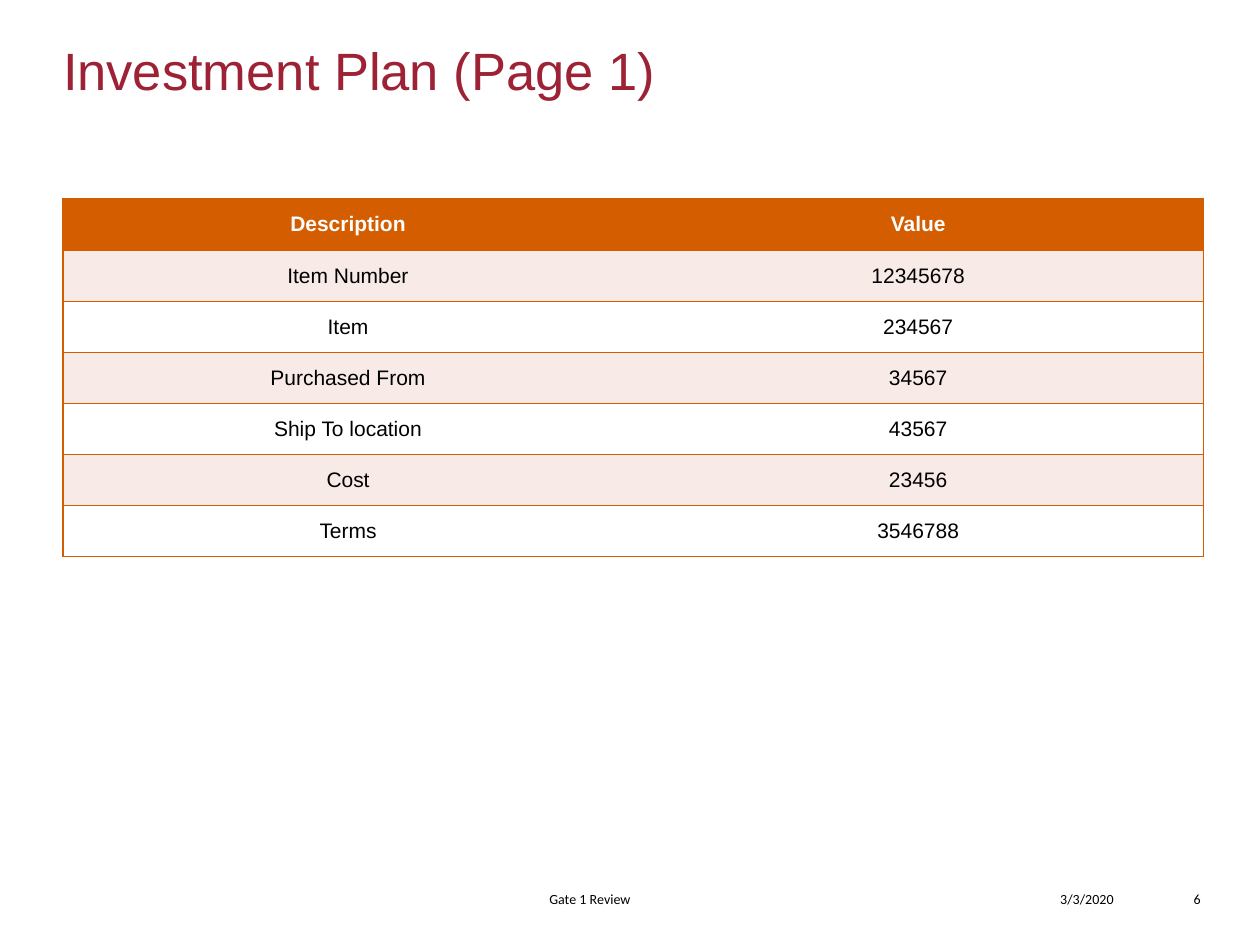
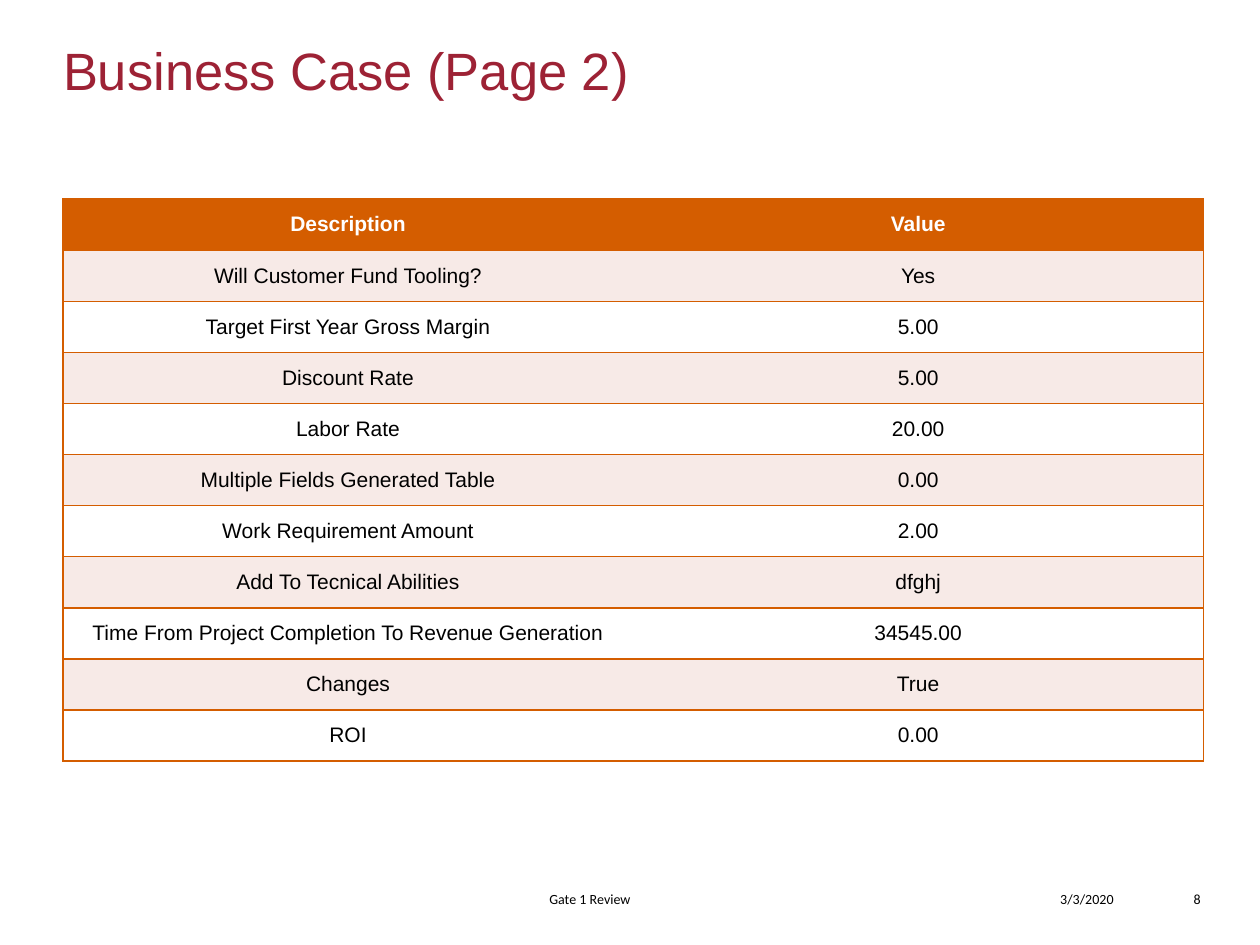
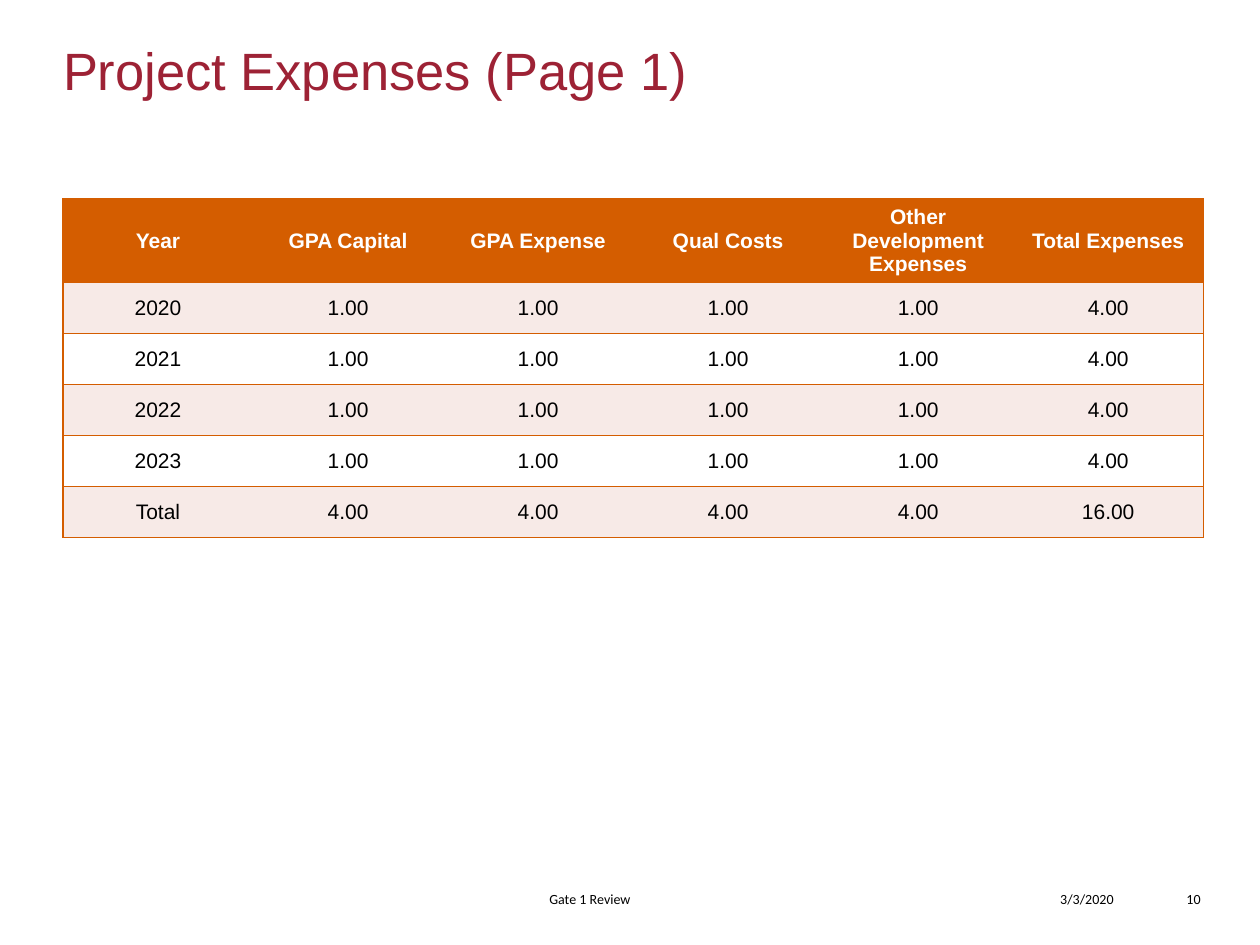
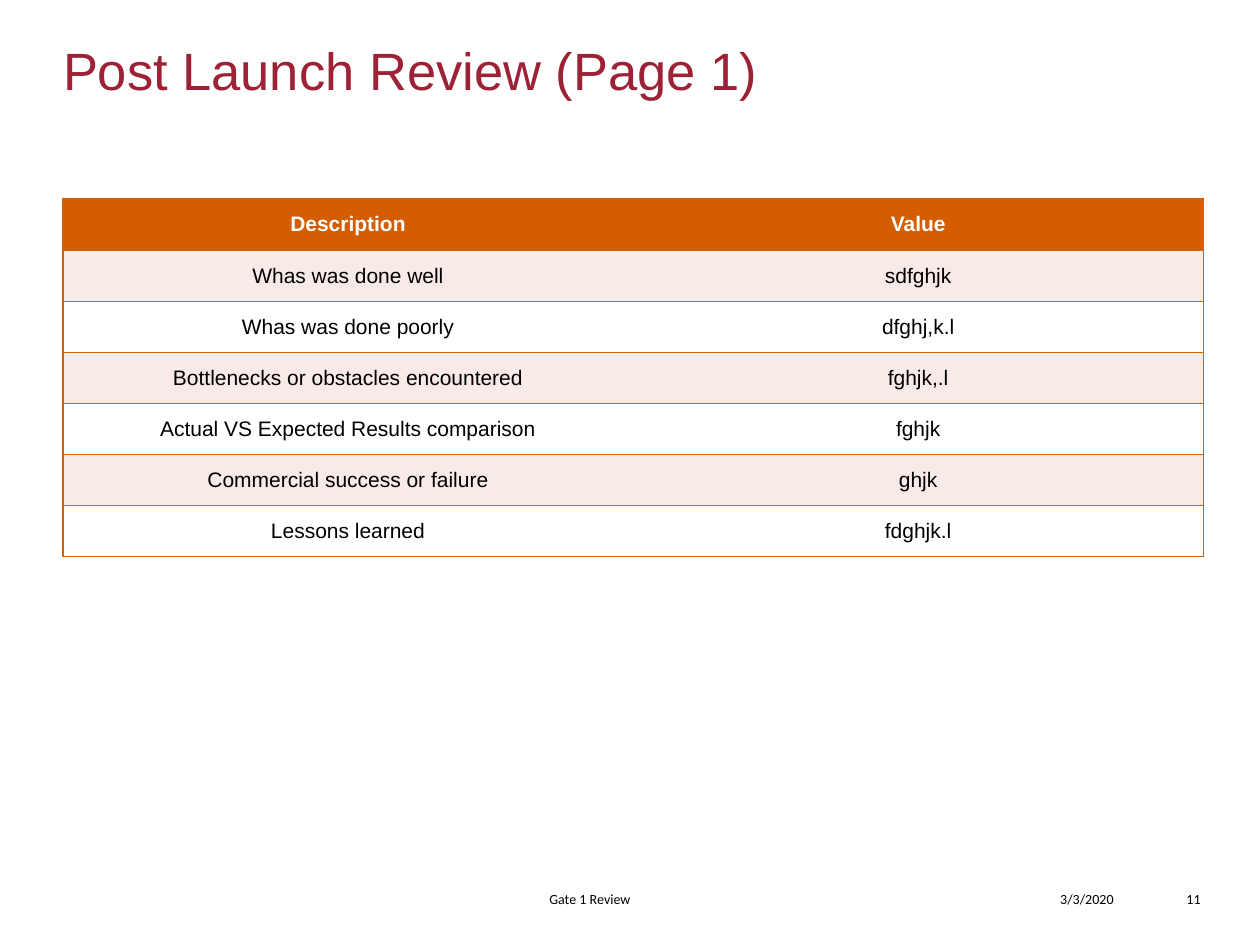
from lxml import etree
from pptx import Presentation, util as u
from pptx.dml.color import RGBColor
from pptx.enum import text as t
from pptx.oxml.ns import qn

# Shared style
RED = RGBColor(0x9D, 0x22, 0x35)
ORANGE = RGBColor(0xD4, 0x5D, 0x00)
PINK = RGBColor(0xF7, 0xEA, 0xE7)
WHITE = RGBColor(0xFF, 0xFF, 0xFF)
BLACK = RGBColor(0, 0, 0)
LEFT, WIDTH = u.Inches(0.5), u.Inches(9.05)
ROW = u.Pt(29.2)

# Footer parts: left, width, left inset, alignment
NUMBER = (9.16, 0.37, 0, t.PP_ALIGN.RIGHT)
DATE = (7.4, 1.44, 0, t.PP_ALIGN.RIGHT)
LABEL = (3.1, 3.63, 1.26, t.PP_ALIGN.LEFT)

# Slide content: title, page number, table rows
PAIR = ("Description", "Value")
PAGES = [
    ("Investment Plan (Page 1)", "6", [
        PAIR,
        ("Item Number", "12345678"),
        ("Item", "234567"),
        ("Purchased From", "34567"),
        ("Ship To location", "43567"),
        ("Cost", "23456"),
        ("Terms", "3546788"),
    ]),
    ("Business Case (Page 2)", "8", [
        PAIR,
        ("Will Customer Fund Tooling?", "Yes"),
        ("Target First Year Gross Margin", "5.00"),
        ("Discount Rate", "5.00"),
        ("Labor Rate", "20.00"),
        ("Multiple Fields Generated Table", "0.00"),
        ("Work Requirement Amount", "2.00"),
        ("Add To Tecnical Abilities", "dfghj"),
        ("Time From Project Completion To Revenue Generation", "34545.00"),
        ("Changes", "True"),
        ("ROI", "0.00"),
    ]),
    ("Project Expenses (Page 1)", "10", [
        ("Year", "GPA Capital", "GPA Expense", "Qual Costs",
         "Other Development Expenses", "Total Expenses"),
        *[(year, *["1.00"] * 4, "4.00")
          for year in ("2020", "2021", "2022", "2023")],
        ("Total", *["4.00"] * 4, "16.00"),
    ]),
    ("Post Launch Review (Page 1)", "11", [
        PAIR,
        ("Whas was done well", "sdfghjk"),
        ("Whas was done poorly", "dfghj,k.l"),
        ("Bottlenecks or obstacles encountered", "fghjk,.l"),
        ("Actual VS Expected Results comparison", "fghjk"),
        ("Commercial success or failure", "ghjk"),
        ("Lessons learned", "fdghjk.l"),
    ]),
]


def write(frame, words, size, face, color, align, bold=False):
    para = frame.paragraphs[0]
    para.alignment = align
    run = para.add_run()
    run.text = words
    font = run.font
    font.size, font.name, font.bold = u.Pt(size), face, bold
    font.color.rgb = color


def border(cell, drawn):
    """Rule the drawn sides of a cell and clear the others."""
    props = cell._tc.get_or_add_tcPr()
    for i, side in enumerate("LRTB"):
        line = etree.Element(qn("a:ln" + side), w=str(u.Pt(1)))
        if side in drawn:
            fill = etree.SubElement(line, qn("a:solidFill"))
            etree.SubElement(fill, qn("a:srgbClr"), val=str(ORANGE))
        else:
            etree.SubElement(line, qn("a:noFill"))
        props.insert(i, line)


prs = Presentation()
prs.slide_width, prs.slide_height = u.Inches(10), u.Inches(7.5)

for name, page, rows in PAGES:
    slide = prs.slides.add_slide(prs.slide_layouts[5])

    # Title
    title = slide.shapes.title
    title.left, title.top = LEFT, u.Inches(0.3)
    title.width, title.height = WIDTH, u.Inches(1.07)
    frame = title.text_frame
    frame.margin_left = frame.margin_right = 0
    frame.margin_top = frame.margin_bottom = 0
    frame.vertical_anchor = t.MSO_ANCHOR.TOP
    frame.auto_size = t.MSO_AUTO_SIZE.NONE
    write(frame, name, 30, "Arial", RED, t.PP_ALIGN.LEFT)

    # Table
    count = len(rows[0])
    holder = slide.shapes.add_table(len(rows), count, LEFT, u.Inches(1.58),
                                    WIDTH, ROW * len(rows))
    table = holder.table
    table.horz_banding = False
    for r, row in enumerate(rows):
        table.rows[r].height = ROW
        head = r == 0
        for c, words in enumerate(row):
            cell = table.cell(r, c)
            cell.vertical_anchor = t.MSO_ANCHOR.MIDDLE
            cell.fill.solid()
            cell.fill.fore_color.rgb = (
                ORANGE if head else PINK if r % 2 else WHITE)
            border(cell, "TB" + "L" * (c == 0) + "R" * (c == count - 1))
            write(cell.text_frame, words, 12, "Arial",
                  WHITE if head else BLACK, t.PP_ALIGN.CENTER, head)
    holder.height = u.Inches(5.1)

    # Footer
    for words, (left, width, inset, align) in (
            (page, NUMBER), ("3/3/2020", DATE), ("Gate 1 Review", LABEL)):
        box = slide.shapes.add_textbox(u.Inches(left), u.Inches(6.94),
                                       u.Inches(width), u.Inches(0.26))
        frame = box.text_frame
        frame.word_wrap = True
        frame.margin_left = u.Inches(inset)
        frame.margin_right = frame.margin_top = frame.margin_bottom = 0
        frame.vertical_anchor = t.MSO_ANCHOR.BOTTOM
        write(frame, words, 8, "Calibri", BLACK, align)

prs.save("out.pptx")
